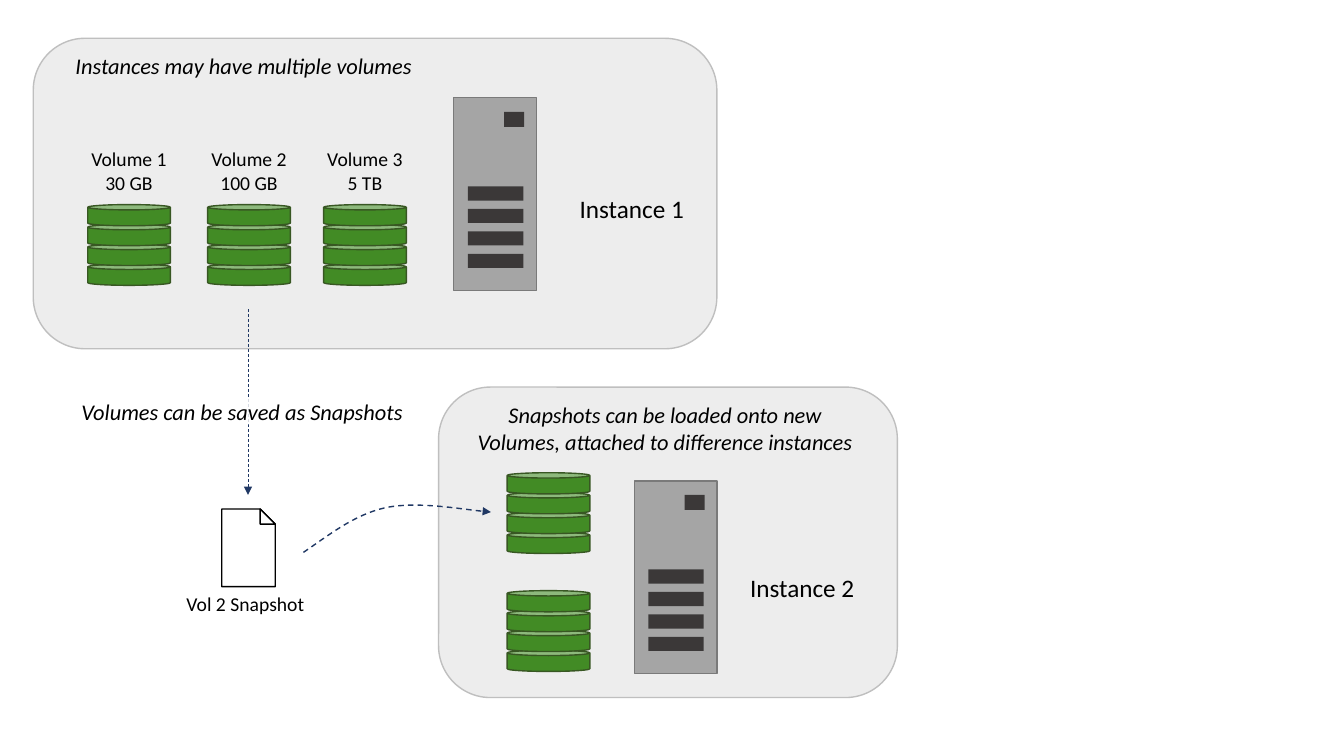
"""Builds a slide on server instances, their volumes and a volume snapshot."""
import lxml.etree
import pptx
import pptx.dml.color
import pptx.enum.dml
import pptx.enum.shapes
import pptx.enum.text
import pptx.oxml.ns
import pptx.util

PANEL = pptx.dml.color.RGBColor(0xED, 0xED, 0xED)
PANEL_EDGE = pptx.dml.color.RGBColor(0xBF, 0xBF, 0xBF)
CASE = pptx.dml.color.RGBColor(0xA5, 0xA5, 0xA5)
CASE_EDGE = pptx.dml.color.RGBColor(0x7A, 0x7A, 0x7A)
SLOT = pptx.dml.color.RGBColor(0x3B, 0x38, 0x38)
DISK = pptx.dml.color.RGBColor(0x42, 0x8B, 0x25)
DISK_EDGE = pptx.dml.color.RGBColor(0x38, 0x57, 0x23)
ARROW = pptx.dml.color.RGBColor(0x20, 0x38, 0x64)
WHITE = pptx.dml.color.RGBColor(0xFF, 0xFF, 0xFF)
BLACK = pptx.dml.color.RGBColor(0, 0, 0)

KIND = pptx.enum.shapes.MSO_SHAPE
CENTER = pptx.enum.text.PP_ALIGN.CENTER
FONT = "Calibri"
Inches = pptx.util.Inches
qn = pptx.oxml.ns.qn


class SlideBuilder:
    def __init__(self, slide):
        self.slide = slide

    def shape(self, kind, left, top, width, height, fill, edge=None, group=None):
        shapes = (group or self.slide).shapes
        shape = shapes.add_shape(kind, Inches(left), Inches(top), Inches(width), Inches(height))
        self.paint(shape, fill, edge)
        return shape

    def paint(self, shape, fill, edge):
        shape.shadow.inherit = False
        if fill is None:
            shape.fill.background()
        else:
            shape.fill.solid()
            shape.fill.fore_color.rgb = fill
        if edge is None:
            shape.line.fill.background()
        else:
            shape.line.color.rgb = edge
            shape.line.width = pptx.util.Pt(1)

    def text(self, left, top, width, height, lines, size, italic=False, align=None, wrap=False):
        box = self.slide.shapes.add_textbox(
            Inches(left), Inches(top), Inches(width), Inches(height))
        frame = box.text_frame
        frame.word_wrap = wrap
        for index, line in enumerate(lines):
            para = frame.add_paragraph() if index else frame.paragraphs[0]
            para.alignment = align
            span = para.add_run()
            span.text = line
            span.font.name = FONT
            span.font.size = pptx.util.Pt(size)
            span.font.italic = italic
            span.font.color.rgb = BLACK

    def outline(self, points, fill, edge, closed=True, group=None):
        start, *rest = [(Inches(x), Inches(y)) for x, y in points]
        pen = (group or self.slide).shapes.build_freeform(*start)
        pen.add_line_segments(rest, close=closed)
        shape = pen.convert_to_shape()
        self.paint(shape, fill, edge)
        return shape

    def dashed_arrow(self, shape, width):
        shape.line.color.rgb = ARROW
        shape.line.width = pptx.util.Pt(width)
        shape.line.dash_style = pptx.enum.dml.MSO_LINE.DASH
        line = shape.element.spPr.find(qn("a:ln"))
        lxml.etree.SubElement(line, qn("a:tailEnd"), type="triangle")

    def straight_arrow(self, x, top, bottom):
        arrow = self.slide.shapes.add_connector(
            pptx.enum.shapes.MSO_CONNECTOR.STRAIGHT,
            Inches(x), Inches(top), Inches(x), Inches(bottom))
        self.dashed_arrow(arrow, 0.5)
        lxml.etree.SubElement(arrow.element.spPr, qn("a:effectLst"))

    def curved_arrow(self, points):
        arrow = self.outline(points, None, ARROW, closed=False)
        steps = list(arrow.element.spPr.iter(qn("a:lnTo")))
        route = steps[0].getparent()
        for first in range(0, len(steps), 3):
            curve = lxml.etree.SubElement(route, qn("a:cubicBezTo"))
            for step in steps[first:first + 3]:
                curve.append(step[0])
                route.remove(step)
        self.dashed_arrow(arrow, 1)

    def panel(self, left, top, width):
        self.shape(KIND.ROUNDED_RECTANGLE, left, top, width, 3.08, PANEL, PANEL_EDGE)

    def server(self, left, top):
        group = self.slide.shapes.add_group_shape()
        self.shape(KIND.RECTANGLE, left, top, 0.82, 1.91, CASE, CASE_EDGE, group)
        self.shape(KIND.RECTANGLE, left + 0.5, top + 0.14, 0.2, 0.15, SLOT, group=group)
        for row in range(4):
            self.shape(KIND.RECTANGLE, left + 0.14, top + 0.88 + row * 0.223,
                       0.55, 0.14, SLOT, group=group)

    def volume(self, left, top):
        group = self.slide.shapes.add_group_shape()
        for level in reversed(range(4)):
            self.shape(KIND.CAN, left, top + level * 0.197, 0.82, 0.21, DISK, DISK_EDGE, group)

    def snapshot(self, left, top):
        right, bottom, fold = left + 0.53, top + 0.77, 0.15
        group = self.slide.shapes.add_group_shape()
        corner = [(right - fold, top), (right, top + fold)]
        page = [(left, top), (left, bottom), (right, bottom), corner[1], corner[0]]
        self.outline(page, WHITE, BLACK, group=group)
        self.outline([corner[0], (right - fold, top + fold), corner[1]],
                     WHITE, BLACK, group=group)

    def veil(self, left, top, width, height, opacity):
        band = self.shape(KIND.RECTANGLE, left, top, width, height, WHITE)
        color = band.element.spPr.find(qn("a:solidFill"))[0]
        lxml.etree.SubElement(color, qn("a:alpha"), val=str(opacity * 1000))


deck = pptx.Presentation()
deck.slide_width = Inches(13.33)
deck.slide_height = Inches(7.5)
page = SlideBuilder(deck.slides.add_slide(deck.slide_layouts[6]))

page.panel(4.35, 3.84, 4.55)
page.panel(0.33, 0.38, 6.78)

page.server(4.5, 0.97)
page.text(5.65, 1.87, 1.25, 0.4, ["Instance 1"], 18)
for left, name, capacity in [(0.87, "Volume 1", "30 GB"),
                             (2.06, "Volume 2", "100 GB"),
                             (3.21, "Volume 3", "5 TB")]:
    page.volume(left, 2.03)
    page.text(left - 0.07, 1.41, 0.96, 0.57, [name, capacity], 14, align=CENTER)

page.server(6.29, 4.77)
page.text(7.34, 5.63, 1.25, 0.4, ["Instance 2"], 18)
for top in (5.86, 4.69):
    page.volume(5.03, top)

page.snapshot(2.2, 5.05)
page.text(1.75, 5.82, 1.38, 0.34, ["Vol 2 Snapshot"], 14)
page.curved_arrow([(3.01, 5.48), (3.26, 5.31), (3.51, 5.11), (3.81, 5.04),
                   (4.12, 4.97), (4.62, 5.06), (4.87, 5.08)])

page.text(0.65, 0.47, 3.59, 0.37, ["Instances may have multiple volumes"], 16, italic=True)
page.text(4.6, 3.93, 3.99, 0.64,
          ["Snapshots can be loaded onto new Volumes, attached to difference instances"],
          16, italic=True, align=CENTER, wrap=True)
page.straight_arrow(2.46, 3.07, 4.91)
page.veil(2.06, 3.96, 0.89, 0.25, 81)
page.text(0.71, 3.9, 3.43, 0.37, ["Volumes can be saved as Snapshots"], 16, italic=True)

deck.save("out.pptx")
